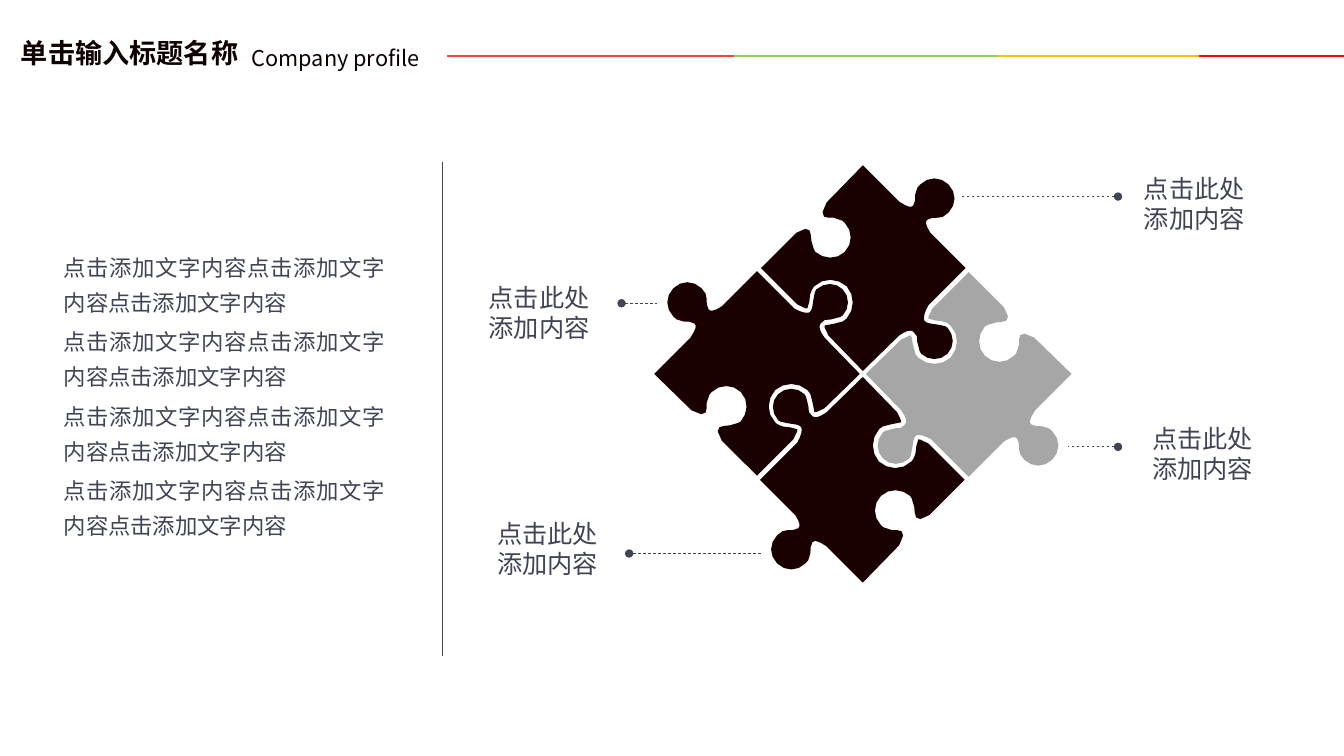
from pptx import Presentation
from pptx.dml.color import RGBColor
from pptx.enum.dml import MSO_LINE
from pptx.enum.shapes import MSO_CONNECTOR
from pptx.enum.text import MSO_ANCHOR, PP_ALIGN
from pptx.oxml.ns import qn
from pptx.util import Inches, Pt
from lxml.etree import SubElement
from math import dist

WIDE, HIGH = Inches(13.333), Inches(7.5)
COLS, ROWS = 160, 90
FACE = "Noto Sans CJK SC"
HUES = {"ink": "414455", "head": "0D0000", "dark": "1A0000", "grey": "A6A6A6",
        "coral": "FF4040", "green": "92D050", "gold": "FFC000", "red": "FF0000"}
HUB = (8.56, 3.71)
UNIT = Inches(0.01)
START = (85, -188)
OUTER_TAB = [
    (93, -180, 93, -168, 85, -160), (81, -156, 78, -155, 75, -155),
    (71, -155, 66, -155, 64, -153), (62, -151, 62, -148, 67, -140),
    (102, -105)]
INNER_TAB = [
    (65, -68), (61, -61, 60, -56, 61, -53), (63, -50, 68, -50, 74, -49),
    (80, -49, 84, -46, 84, -46), (91, -38, 91, -27, 84, -20),
    (77, -13, 65, -13, 58, -20), (58, -20, 55, -23, 54, -32),
    (54, -36, 54, -40, 50, -42), (47, -44, 43, -43, 36, -38), (0, -3)]
INNER_GAP = [
    (-34, -38), (-39, -46, -38, -48, -38, -48), (-28, -50),
    (-21, -50, -17, -54, -16, -55), (-8, -64, -8, -78, -16, -87),
    (-25, -95, -39, -96, -48, -87), (-49, -86, -53, -82, -53, -72),
    (-55, -65), (-55, -65, -57, -64, -65, -69), (-101, -105)]
OUTER_GAP = [
    (-66, -140), (-50, -150, -52, -139, -51, -132),
    (-50, -125, -47, -121, -47, -121), (-39, -114, -26, -113, -18, -121),
    (-10, -129, -10, -142, -18, -150), (-18, -150, -21, -154, -29, -155),
    (-35, -155, -46, -153, -36, -170), (0, -207)]
CLOSE = [
    (36, -171), (45, -165, 48, -165, 50, -167),
    (52, -169, 52, -174, 52, -178), (52, -184, 56, -187, 57, -188),
    (65, -196, 77, -196, 85, -188)]
NOTES = [(57, 33, 74, 78.2, 36.1), (135, 20, 133.1, 114.4, 23.4),
         (58, 61.1, 74.9, 90.6, 65.9), (136, 49.8, 133.1, 127.1, 53.2)]
STRIPES = [("coral", 53.2, 88), ("green", 87.4, 118.8),
           ("gold", 118.8, 143.2), ("red", 142.7, 160)]


def col(num):
    """Turn grid columns into a length."""
    return round(WIDE * num / COLS)


def row(num):
    """Turn grid rows into a length."""
    return round(HIGH * num / ROWS)


def hue(name):
    """Look up a named colour."""
    return RGBColor.from_string(HUES[name])


def apply(item, form):
    """Set each format value on an item."""
    for key, value in form.items():
        setattr(item, key, value)


def write(shape, lines, size, tint, bold=False, wrap=True, form={}):
    """Fill a shape with one paragraph per line."""
    frame = shape.text_frame
    apply(frame, {"word_wrap": wrap, "vertical_anchor": MSO_ANCHOR.TOP})
    frame.text = "\n".join(lines)
    for index, para in enumerate(frame.paragraphs):
        apply(para, {"alignment": PP_ALIGN.LEFT, "line_spacing": 1.0,
                     "space_before": Pt(0), **form})
        if index == 0:
            para.space_before = Pt(0)
        for run in para.runs:
            apply(run.font, {"name": FACE, "size": Pt(size), "bold": bold})
            run.font.color.rgb = hue(tint)
            SubElement(run.font._element, qn("a:ea")).set("typeface", FACE)


def label(slide, box, lines, size, tint, **more):
    """Add a text box on the grid."""
    left, top, wide, high = box
    shape = slide.shapes.add_textbox(col(left), row(top), col(wide), row(high))
    write(shape, lines, size, tint, **more)


def rule(slide, start, end, tint, width, dot=False):
    """Draw a line, dashed with a round head if asked."""
    line = slide.shapes.add_connector(
        MSO_CONNECTOR.STRAIGHT, col(start[0]), row(start[1]), col(end[0]), row(end[1]))
    line.line.color.rgb = hue(tint)
    line.line.width = Pt(width)
    if dot:
        line.line.dash_style = MSO_LINE.DASH
        SubElement(line.line._get_or_add_ln(), qn("a:headEnd")).set("type", "oval")
    SubElement(line._element.spPr, qn("a:effectLst"))


def trace():
    """List the points round the top piece, with more steps on longer curves."""
    points = [START]
    for move in OUTER_TAB + INNER_TAB + INNER_GAP + OUTER_GAP + CLOSE:
        if len(move) == 2:
            points.append(move)
            continue
        knots = [points[-1], move[:2], move[2:4], move[4:]]
        span = dist(knots[0], knots[3])
        count = 4 if span > 13 else 2 if span > 6 else 1
        for step in range(1, count + 1):
            t = step / count
            parts = ((1 - t) ** 3, 3 * t * (1 - t) ** 2, 3 * t * t * (1 - t), t ** 3)
            points.append(tuple(sum(p * k[axis] for p, k in zip(parts, knots))
                                for axis in (0, 1)))
    return points[:-1]


def puzzle(slide):
    """Draw four pieces, each a quarter turn on from the last."""
    points = trace()
    for tint in ("dark", "grey", "dark", "dark"):
        dots = [(x * UNIT, y * UNIT) for x, y in points]
        pen = slide.shapes.build_freeform(*dots[0], scale=1.0)
        pen.add_line_segments(dots[1:], close=True)
        piece = pen.convert_to_shape(Inches(HUB[0]), Inches(HUB[1]))
        piece.shadow.inherit = False
        piece.fill.solid()
        piece.fill.fore_color.rgb = hue(tint)
        piece.line.fill.background()
        points = [(-y, x) for x, y in points]


def main():
    """Build the slide and save it."""
    deck = Presentation()
    apply(deck, {"slide_width": WIDE, "slide_height": HIGH})
    slide = deck.slides.add_slide(deck.slide_layouts[5])
    title = slide.shapes.title
    apply(title, {"left": col(1.3), "top": row(3.7),
                  "width": col(30.6), "height": row(5.2)})
    write(title, ["单击输入标题名称"], 19.4, "head", bold=True)
    label(slide, (28.8, 4.7, 30.6, 4.3), ["Company profile"], 15.5, "head")
    for tint, left, right in STRIPES:
        rule(slide, (left, 6.7), (right, 6.7), tint, 1.5)
    label(slide, (6.4, 28.7, 40.7, 44.6), ["点击添加文字内容" * 3] * 4, 16, "ink",
          form={"alignment": PP_ALIGN.JUSTIFY, "line_spacing": 1.3,
                "space_before": Pt(3.2)})
    rule(slide, (52.6, 78.1), (52.6, 19.3), "ink", 0.25)
    puzzle(slide)
    for left, top, start, end, level in NOTES:
        rule(slide, (start, level), (end, level), "ink", 0.5, dot=True)
        label(slide, (left, top, 14.5, 8.5), ["点击此处", "添加内容"], 18, "ink",
              wrap=False)
    deck.save("out.pptx")


if __name__ == "__main__":
    main()
